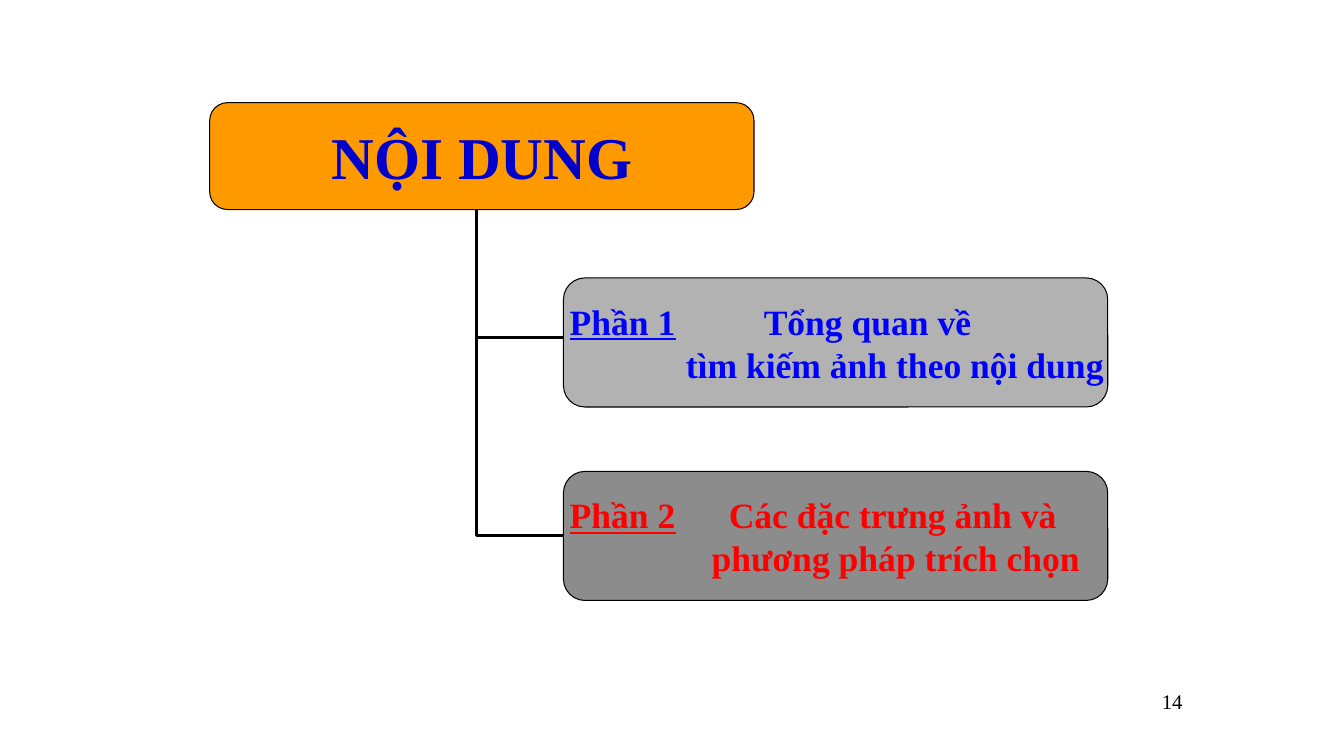
from lxml import etree
from pptx import Presentation
from pptx import util as u
from pptx.dml.color import RGBColor
from pptx.enum import shapes, text
from pptx.oxml.ns import qn

Pt = u.Pt
COLORS = {"orange": "FF9900", "light": "B2B2B2", "dark": "8C8C8C", "black": "000000",
          "navy": "0000CC", "blue": "0000FF", "red": "FF0000"}


def rgb(name):
    return RGBColor.from_string(COLORS[name])


def add_text(p, words, size, color, bold=False, underline=False, align=text.PP_ALIGN.LEFT):
    p.alignment = align
    r = p.add_run()
    r.text = words
    f = r.font
    f.name, f.size, f.bold, f.underline = "Times New Roman", Pt(size), bold, underline
    f.color.rgb = rgb(color)


prs = Presentation()
prs.slide_width, prs.slide_height = Pt(960), Pt(540)
s = prs.slides.add_slide(prs.slide_layouts[5])

BOX_W, ROOT_H, PART_H = 388.8, 76.3, 92.2
ROOT_X, ROOT_Y, PART_X, TRUNK_X = 149.8, 73.4, 402.5, 340.6

# Elbow connectors from the heading to each part
for y in (382.7, 241.2):
    c = s.shapes.add_connector(shapes.MSO_CONNECTOR.ELBOW, Pt(TRUNK_X), Pt(ROOT_Y + ROOT_H),
                               Pt(PART_X), Pt(y))
    c.line.color.rgb = rgb("black")
    c.line.width = Pt(2.24)
    spPr = c._element.spPr
    spPr.find(qn("a:xfrm")).set("rot", "10800000")
    spPr.find(qn("a:prstGeom")).set("prst", "bentConnector2")
    etree.SubElement(spPr, qn("a:effectLst"))

# Rounded boxes: heading, then the two parts
boxes = []
for x, y, h, fill in ((ROOT_X, ROOT_Y, ROOT_H, "orange"),
                      (PART_X, 198.5, PART_H, "light"),
                      (PART_X, 336.7, PART_H, "dark")):
    sp = s.shapes.add_shape(shapes.MSO_SHAPE.ROUNDED_RECTANGLE, Pt(x), Pt(y), Pt(BOX_W), Pt(h))
    sp.shadow.inherit = False
    sp.fill.solid()
    sp.fill.fore_color.rgb = rgb(fill)
    sp.line.color.rgb = rgb("black")
    sp.line.width = Pt(0.74)
    boxes.append(sp)

# Title, brought in front of the heading box
title = s.shapes.title
boxes[0]._element.addnext(title._element)
title.left, title.top, title.width, title.height = Pt(ROOT_X), Pt(ROOT_Y), Pt(BOX_W), Pt(ROOT_H)
tf = title.text_frame
tf.margin_left = tf.margin_right = tf.margin_top = tf.margin_bottom = 0
tf.auto_size = text.MSO_AUTO_SIZE.NONE
tf.vertical_anchor = text.MSO_ANCHOR.MIDDLE
add_text(tf.paragraphs[0], "NỘI DUNG", 42.3, "navy", bold=True, align=text.PP_ALIGN.CENTER)

# Part texts: label, tab to the first line, indented second line
parts = (("Phần 1", "Tổng quan về", "tìm kiếm ảnh theo nội dung", "blue", 138.6, 82.9),
         ("Phần 2", "Các đặc trưng ảnh và", "phương pháp trích chọn", "red", 113.6, 101.4))
for sp, (label, first, second, color, tab, indent) in zip(boxes[1:], parts):
    tf = sp.text_frame
    tf.word_wrap = True
    tf.vertical_anchor = text.MSO_ANCHOR.MIDDLE
    tf.margin_left = tf.margin_top = tf.margin_bottom = 0
    tf.margin_right = Pt(-4)  # the second line runs close to the edge
    p = tf.paragraphs[0]
    add_text(p, label, 25.4, color, bold=True, underline=True)
    add_text(p, "\t" + first, 25.4, color, bold=True)
    tabs = etree.SubElement(p._p.get_or_add_pPr(), qn("a:tabLst"))
    etree.SubElement(tabs, qn("a:tab"), pos=str(Pt(tab)), algn="l")
    p = tf.add_paragraph()
    add_text(p, second, 25.4, color, bold=True)
    pPr = p._p.get_or_add_pPr()
    pPr.set("marL", str(Pt(indent)))
    pPr.set("indent", "0")

# Slide number
tf = s.shapes.add_textbox(Pt(656), Pt(491.8), Pt(188.6), Pt(36.7)).text_frame
tf.word_wrap = True
tf.margin_left = tf.margin_right = tf.margin_top = tf.margin_bottom = 0
add_text(tf.paragraphs[0], "14", 14.8, "black", align=text.PP_ALIGN.RIGHT)

prs.save("out.pptx")
